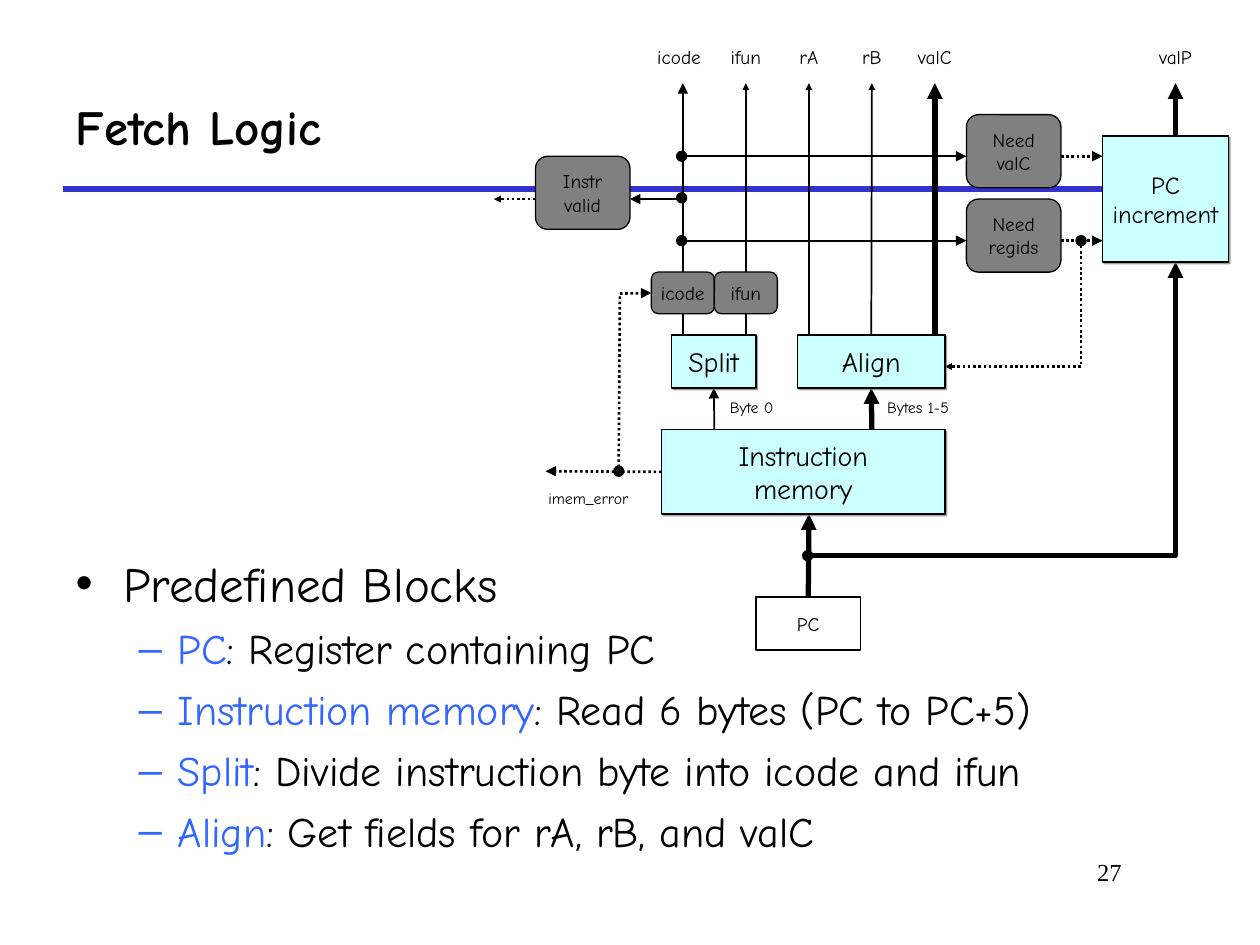
from dataclasses import dataclass

from lxml.etree import SubElement
from pptx import Presentation
from pptx.dml.color import RGBColor
from pptx.enum.dml import MSO_LINE
from pptx.enum.shapes import MSO_CONNECTOR, MSO_SHAPE
from pptx.enum.text import MSO_ANCHOR, MSO_AUTO_SIZE, PP_ALIGN
from pptx.oxml.ns import qn
from pptx.util import Inches, Pt

COLORS = {"ink": "000000", "rule": "3333CC", "term": "3366FF", "unit": "CCFFFF",
          "control": "808080", "paper": "FFFFFF", "shadow": "808080"}
FONT = "Comic Neue"
LABEL_TOP, LABEL_HEIGHT = 0.24, 0.42
OUTPUT_TOP = LABEL_TOP + LABEL_HEIGHT
SPLIT_TOP = 2.66
DOT = 0.08


@dataclass
class Block:
    text: str
    left: float
    top: float
    width: float
    height: float
    size: float = 11
    shape: MSO_SHAPE = MSO_SHAPE.RECTANGLE
    fill: str | None = "unit"
    border: float = 0.75
    shadow: bool = False

    def side_middles(self) -> list[tuple[float, float]]:
        """Top, left, bottom, right, in the order of connection sites."""
        middle_x, middle_y = self.left + self.width / 2, self.top + self.height / 2
        return [(middle_x, self.top), (self.left, middle_y),
                (middle_x, self.top + self.height), (self.left + self.width, middle_y)]


@dataclass
class Wire:
    points: list[tuple[float, float]]
    width: float = 1
    dotted: bool = False
    head: str | None = "med"


def unit(text, left, top, width, height, size=16) -> Block:
    return Block(text, left, top, width, height, size, shadow=True)


def control(text, left, top, width=0.75, height=0.58) -> Block:
    return Block(text, left, top, width, height,
                 shape=MSO_SHAPE.ROUNDED_RECTANGLE, fill="control")


def label(text, left, top=LABEL_TOP, width=0.5, size=11, fill="paper") -> Block:
    return Block(text, left, top, width, LABEL_HEIGHT, size, MSO_SHAPE.OVAL, fill, 0)


def dotted(*points, head="med") -> Wire:
    return Wire(list(points), 1.5, True, head)


def output(x, width=1, head="med", start=SPLIT_TOP) -> Wire:
    return Wire([(x, start), (x, OUTPUT_TOP)], width, head=head)


LABELS = [label("icode", 5.14), label("ifun", 5.67), label("rA", 6.17), label("rB", 6.67),
          label("valC", 7.17), label("valP", 9.08),
          label("imem_error", 4.17, 3.74, 1, 9, None)]
BLOCKS = [
    unit("Instruction\nmemory", 5.25, 3.41, 2.25, 0.67),
    unit("PC\nincrement", 8.75, 1.08, 1, 1, 14),
    unit("Align", 6.33, SPLIT_TOP, 1.17, 0.42),
    unit("Split", 5.33, SPLIT_TOP, 0.67, 0.42),
    Block("PC", 6, 4.74, 0.83, 0.42, fill="paper", border=1),
    control("Need\nregids", 7.67, 1.58),
    control("Need\nvalC", 7.67, 0.91),
    control("Instr\nvalid", 4.25, 1.24),
    control("icode", 5.17, 2.16, 0.5, 0.33),
    control("ifun", 5.67, 2.16, 0.5, 0.33),
]
WIRES = [
    output(5.42), output(5.92, head="sm"), output(6.42, head="sm"), output(6.92, head="sm"),
    output(7.42, 3), output(9.33, 3, start=1.08),
    Wire([(6.42, 4.74), (6.42, 4.08)], 3),
    Wire([(6.42, 4.41), (9.33, 4.41), (9.33, 2.08)], 3),
    Wire([(6.92, 3.41), (6.92, 3.08)], 3),
    Wire([(5.67, 3.41), (5.67, 3.08)]),
    Wire([(5.42, 1.24), (7.67, 1.24)]),
    Wire([(5.42, 1.91), (7.67, 1.91)]),
    Wire([(5.42, 1.58), (5, 1.58)]),
    dotted((8.42, 1.24), (8.75, 1.24)),
    dotted((8.42, 1.91), (8.75, 1.91)),
    dotted((4.25, 1.58), (3.92, 1.58), head="sm"),
    dotted((8.58, 1.91), (8.58, 2.91), (7.5, 2.91), head="sm"),
    dotted((5.25, 3.75), (4.33, 3.74)),
    dotted((4.91, 3.75), (4.92, 2.33), head=None),
    dotted((4.92, 2.33), (5.17, 2.33)),
]
JUNCTIONS = [(5.41, 1.24), (5.41, 1.57), (5.41, 1.91), (6.41, 4.41), (8.58, 1.91), (4.91, 3.74)]
BYTE_NOTES = [("Byte 0", 5.69, 0.55), ("Bytes 1-5", 6.94, 0.69)]
DEFINITIONS = [("PC", "Register containing PC"),
               ("Instruction memory", "Read 6 bytes (PC to PC+5)"),
               ("Split", "Divide instruction byte into icode and ifun"),
               ("Align", "Get fields for rA, rB, and valC")]


def color(name: str) -> RGBColor:
    return RGBColor.from_string(COLORS[name])


def place(shape, left, top, width, height) -> None:
    shape.left, shape.top = Inches(left), Inches(top)
    shape.width, shape.height = Inches(width), Inches(height)


def style_font(font, size, name=FONT, tint="ink") -> None:
    font.size, font.name, font.color.rgb = Pt(size), name, color(tint)


def write_lines(frame, text, size, name=FONT, align=PP_ALIGN.CENTER) -> None:
    frame.text = text
    for paragraph in frame.paragraphs:
        paragraph.alignment = align
        style_font(paragraph.font, size, name)


def add_block(page, block: Block):
    shape = page.shapes.add_shape(block.shape, Inches(block.left), Inches(block.top),
                                  Inches(block.width), Inches(block.height))
    shape.shadow.inherit = False
    if block.fill:
        shape.fill.solid()
        shape.fill.fore_color.rgb = color(block.fill)
    else:
        shape.fill.background()
    if block.border:
        shape.line.color.rgb, shape.line.width = color("ink"), Pt(block.border)
    else:
        shape.line.fill.background()
    if block.shadow:
        effects = shape._element.spPr.find(qn("a:effectLst"))
        shadow = SubElement(effects, qn("a:outerShdw"), blurRad="0", dist=str(Pt(1.4)),
                            dir="2700000", algn="ctr", rotWithShape="0")
        tint = SubElement(shadow, qn("a:srgbClr"), val=COLORS["shadow"])
        SubElement(tint, qn("a:alpha"), val="75000")
    if block.text:
        shape.text_frame.word_wrap = False
        shape.text_frame.vertical_anchor = MSO_ANCHOR.MIDDLE
        write_lines(shape.text_frame, block.text, block.size)
    return shape


def add_wire(page, wire: Wire, tint="ink"):
    points = [(Inches(x), Inches(y)) for x, y in wire.points]
    if len(points) == 2:
        line = page.shapes.add_connector(MSO_CONNECTOR.STRAIGHT, *points[0], *points[1])
        SubElement(line._element.spPr, qn("a:effectLst"))
    else:
        builder = page.shapes.build_freeform(*points[0])
        builder.add_line_segments(points[1:], close=False)
        line = builder.convert_to_shape()
        line.fill.background()
        line.shadow.inherit = False
    line.line.color.rgb, line.line.width = color(tint), Pt(wire.width)
    if wire.dotted:
        line.line.dash_style = MSO_LINE.ROUND_DOT
    if wire.head:
        SubElement(line._element.spPr.find(qn("a:ln")), qn("a:tailEnd"),
                   type="triangle", w=wire.head, len=wire.head)
    return line


def join_ends(line, wire: Wire, block: Block, shape) -> None:
    """Connect each end of a straight wire that meets the middle of a block's side."""
    for (x, y), connect in zip(wire.points, (line.begin_connect, line.end_connect)):
        for site, (side_x, side_y) in enumerate(block.side_middles()):
            if abs(x - side_x) < 0.015 and abs(y - side_y) < 0.015:
                connect(shape, site)


def format_bullet(paragraph, char, tint, margin, indent) -> None:
    properties = paragraph._p.get_or_add_pPr()
    properties.set("marL", str(Inches(margin)))
    properties.set("indent", str(Inches(indent)))
    bullet_color = SubElement(properties, qn("a:buClr"))
    SubElement(bullet_color, qn("a:srgbClr"), val=COLORS[tint])
    SubElement(properties, qn("a:buChar"), char=char)


def fill_body(body) -> None:
    frame = body.text_frame
    frame.auto_size = MSO_AUTO_SIZE.NONE
    heading = frame.paragraphs[0]
    heading.text = "Predefined Blocks"
    heading.space_before = Pt(7)
    style_font(heading.font, 28)
    format_bullet(heading, "•", "ink", 0.38, -0.38)
    for term, meaning in DEFINITIONS:
        paragraph = frame.add_paragraph()
        paragraph.level, paragraph.space_before = 1, Pt(6)
        format_bullet(paragraph, "–", "term", 0.81, -0.31)
        for text, tint in ((term, "term"), (f": {meaning}", "ink")):
            span = paragraph.add_run()
            span.text = text
            style_font(span.font, 24, tint=tint)


def add_note(page, text, left, top, width, height, size, name=FONT, align=PP_ALIGN.CENTER):
    box = page.shapes.add_textbox(Inches(left), Inches(top), Inches(width), Inches(height))
    write_lines(box.text_frame, text, size, name, align)
    return box


def main() -> None:
    deck = Presentation()
    deck.slide_width, deck.slide_height = Inches(10), Inches(7.5)
    page = deck.slides.add_slide(deck.slide_layouts[1])
    title, body = page.shapes.title, page.placeholders[1]
    place(title, 0.5, 0.5, 8.83, 1)
    title.text_frame.vertical_anchor = MSO_ANCHOR.MIDDLE
    write_lines(title.text_frame, "Fetch Logic", 28, align=PP_ALIGN.LEFT)
    title.text_frame.paragraphs[0].font.bold = True
    place(body, 0.5, 4.34, 9.08, 2.58)
    fill_body(body)

    add_wire(page, Wire([(0.5, 1.5), (9.33, 1.5)], 3, head=None), "rule")
    number = add_note(page, "27", 7.58, 6.75, 1.42, 0.5, 14, "Times New Roman", PP_ALIGN.RIGHT)
    number.text_frame.word_wrap = True
    for item in LABELS:
        add_block(page, item)
    lines = [(add_wire(page, wire), wire) for wire in WIRES]
    for block in BLOCKS:
        shape = add_block(page, block)
        for line, wire in lines:
            if len(wire.points) == 2:
                join_ends(line, wire, block, shape)
    for x, y in JUNCTIONS:
        add_block(page, Block("", x - DOT / 2, y - DOT / 2, DOT, DOT,
                              shape=MSO_SHAPE.OVAL, fill="ink"))
    for text, left, width in BYTE_NOTES:
        add_note(page, text, left, 3.11, width, 0.25, 9).text_frame.word_wrap = False
    deck.save("out.pptx")


if __name__ == "__main__":
    main()
